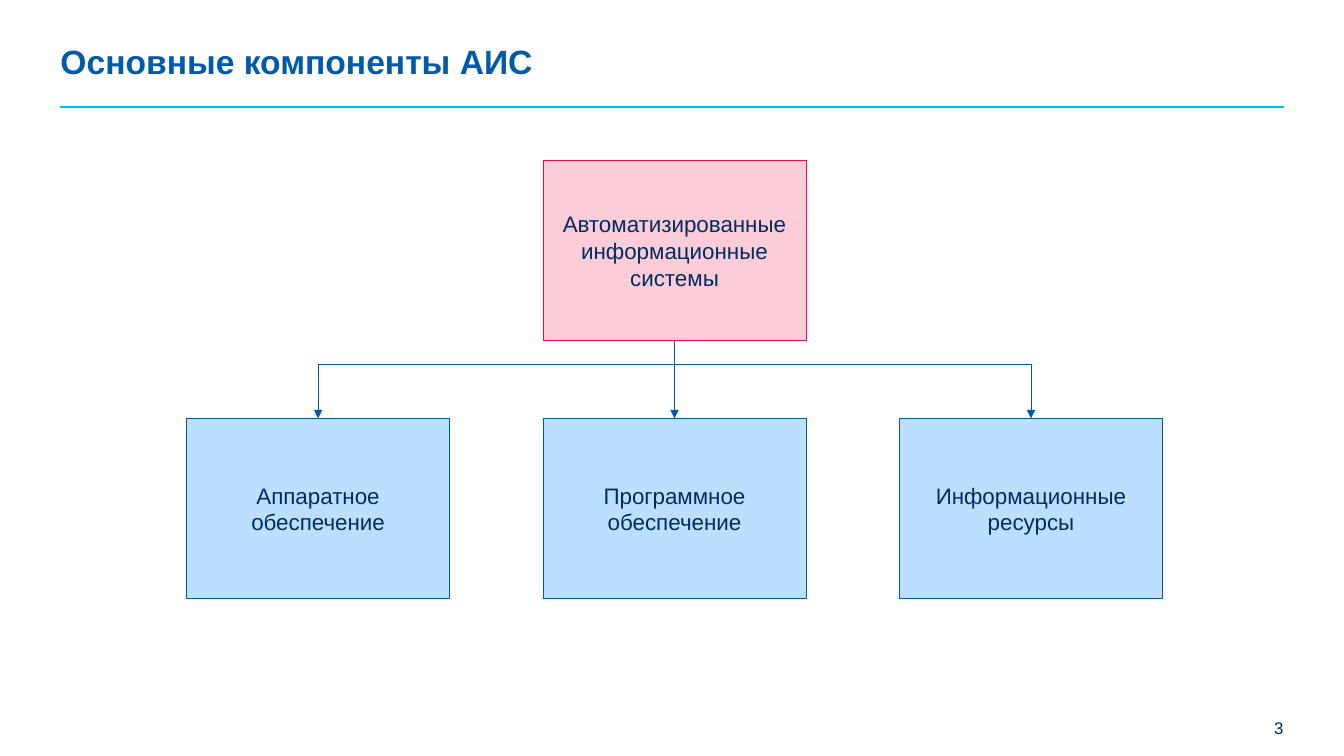
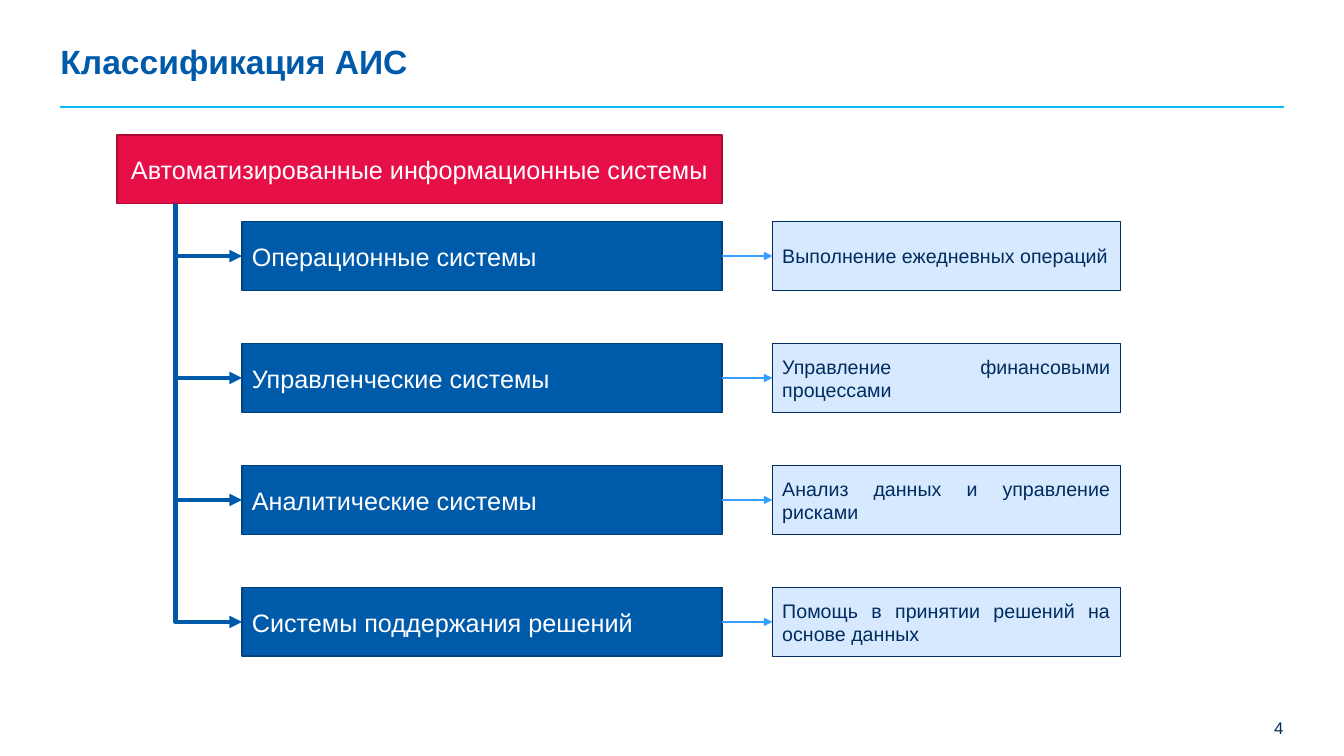
from lxml.etree import SubElement
from pptx import Presentation
from pptx.dml.color import RGBColor
from pptx.enum.shapes import MSO_CONNECTOR, MSO_SHAPE
from pptx.enum.text import MSO_ANCHOR, PP_ALIGN
from pptx.oxml.ns import qn
from pptx.util import Inches, Pt

WIDE, HIGH = 13.33, 7.5
EDGE, END = 0.6, 12.73  # side limits of the content

HUES = {
    "blue": "005AAA", "deep": "00437E", "navy": "002C5F", "ink": "002856",
    "aqua": "00BEF3", "sky": "339FFF", "light": "BBDFFF", "pale": "D6E9FF",
    "red": "E70F47", "wine": "AB0B35", "pink": "FCCDD9", "white": "FFFFFF",
}

# Text formats: colour, paragraph values, font values
TEXTS = {
    "title": ("blue", {"line_spacing": 0.9}, {"size": Pt(24), "bold": True}),
    "page": ("ink", {"alignment": PP_ALIGN.RIGHT}, {"size": Pt(12)}),
    "node": ("navy", {"alignment": PP_ALIGN.CENTER}, {"size": Pt(16)}),
    "head": ("white", {"alignment": PP_ALIGN.CENTER}, {"size": Pt(18)}),
    "kind": ("white", {"alignment": PP_ALIGN.LEFT}, {"size": Pt(18)}),
    "note": ("navy", {"alignment": PP_ALIGN.JUSTIFY}, {"size": Pt(14)}),
}

# Box formats: fill, line colour, line width, text format
BOXES = {
    "root": ("pink", "red", 0.5, "node"),
    "part": ("light", "blue", 0.5, "node"),
    "head": ("red", "wine", 1, "head"),
    "kind": ("blue", "deep", 1, "kind"),
    "note": ("pale", "navy", 0.5, "note"),
}


def hue(name):
    return RGBColor.from_string(HUES[name])


def apply(item, values):
    for name, value in values.items():
        setattr(item, name, value)


def write(shape, text, style):
    color, para, font = TEXTS[style]
    apply(shape.text_frame, {"word_wrap": True, "vertical_anchor": MSO_ANCHOR.MIDDLE})
    line = shape.text_frame.paragraphs[0]
    line.text = text
    apply(line, para)
    apply(line.font, {"name": "Arial", **font})
    line.font.color.rgb = hue(color)


def label(slide, text, area, style):
    """Plain text without margins."""
    shape = slide.shapes.add_textbox(*map(Inches, area))
    sides = ("left", "top", "right", "bottom")
    apply(shape.text_frame, {f"margin_{side}": 0 for side in sides})
    write(shape, text, style)


def box(slide, text, area, style):
    fill, edge, width, words = BOXES[style]
    shape = slide.shapes.add_shape(MSO_SHAPE.RECTANGLE, *map(Inches, area))
    shape.shadow.inherit = False
    shape.fill.solid()
    shape.fill.fore_color.rgb = hue(fill)
    shape.line.color.rgb = hue(edge)
    shape.line.width = Pt(width)
    write(shape, text, words)
    return shape


def link(slide, start, stop, color, width, arrow=True, kind=MSO_CONNECTOR.STRAIGHT):
    line = slide.shapes.add_connector(kind, *map(Inches, (*start, *stop)))
    line.line.color.rgb = hue(color)
    line.line.width = Pt(width)
    if arrow:
        SubElement(line.line._get_or_add_ln(), qn("a:tailEnd"), type="triangle")
    SubElement(line._element.spPr, qn("a:effectLst"))
    return line


def join(first, site, last, goal, line):
    """Glue a line to two boxes."""
    line.begin_connect(first, site)
    line.end_connect(last, goal)


def bend(slide, start, stop, color, width, share=None):
    """Elbow that leaves downward; share is the height of its cross bar."""
    line = link(slide, start, stop, color, width, kind=MSO_CONNECTOR.ELBOW)
    (x1, y1), (x2, y2) = start, stop
    wide, high = y2 - y1, abs(x2 - x1)
    # A quarter turn about the middle makes the first leg vertical
    apply(line, {
        "left": Inches((x1 + x2 - wide) / 2), "top": Inches((y1 + y2 - high) / 2),
        "width": Inches(wide), "height": Inches(high),
    })
    right = x2 > x1
    frame = line._element.spPr.find(qn("a:xfrm"))
    frame.set("rot", str((270 if right else 90) * 60000))
    frame.set("flipH", str(int(right)))
    shape = line._element.spPr.find(qn("a:prstGeom"))
    if share is None:
        shape.set("prst", "bentConnector2")
    else:
        guide = SubElement(shape.find(qn("a:avLst")), qn("a:gd"))
        guide.set("name", "adj1")
        guide.set("fmla", f"val {round(share * 100000)}")
    return line


def page(deck, title, number):
    """Blank slide with the shared title, rule and page number."""
    slide = deck.slides.add_slide(deck.slide_layouts[6])
    link(slide, (EDGE, 1.06), (END, 1.06), "aqua", 1.25, arrow=False)
    label(slide, str(number), (END - 2.66, 7.12, 2.66, 0.2), "page")
    label(slide, title, (EDGE, 0.45, END - EDGE, 0.36), "title")
    return slide


def parts(deck):
    slide = page(deck, "Основные компоненты АИС", 3)
    wide, high, step = 2.61, 1.79, 3.535
    left, top, low = 1.85, 1.59, 4.15
    mid = left + step + wide / 2
    root = box(slide, "Автоматизированные информационные системы",
               (left + step, top, wide, high), "root")
    names = ("Аппаратное обеспечение", "Программное обеспечение",
             "Информационные ресурсы")
    for col, name in enumerate(names):
        x = left + col * step
        part = box(slide, name, (x, low, wide, high), "part")
        ends = (mid, top + high), (x + wide / 2, low)
        if col == 1:
            join(root, 2, part, 0, link(slide, *ends, "blue", 0.5))
        else:
            bend(slide, *ends, "blue", 0.5, share=0.31)


def kinds(deck):
    slide = page(deck, "Классификация АИС", 4)
    high, step, top = 0.68, 1.21, 2.2
    left, right, side = 2.4, 7.16, 7.66
    head, trunk = 1.34, 1.74
    box(slide, "Автоматизированные информационные системы",
        (1.16, head, right - 1.16, high), "head")
    rows = (
        ("Операционные системы", "Выполнение ежедневных операций"),
        ("Управленческие системы", "Управление финансовыми процессами"),
        ("Аналитические системы", "Анализ данных и управление рисками"),
        ("Системы поддержания решений", "Помощь в принятии решений на основе данных"),
    )
    for row, (name, task) in enumerate(rows):
        y = top + row * step
        mid = y + high / 2
        kind = box(slide, name, (left, y, right - left, high), "kind")
        note = box(slide, task, (side, y, 3.45, high), "note")
        bend(slide, (trunk, head + high), (left, mid), "blue", 3)
        join(kind, 3, note, 1, link(slide, (right, mid), (side, mid), "sky", 1.5))


def main():
    deck = Presentation()
    apply(deck, {"slide_width": Inches(WIDE), "slide_height": Inches(HIGH)})
    parts(deck)
    kinds(deck)
    deck.save("out.pptx")


if __name__ == "__main__":
    main()
